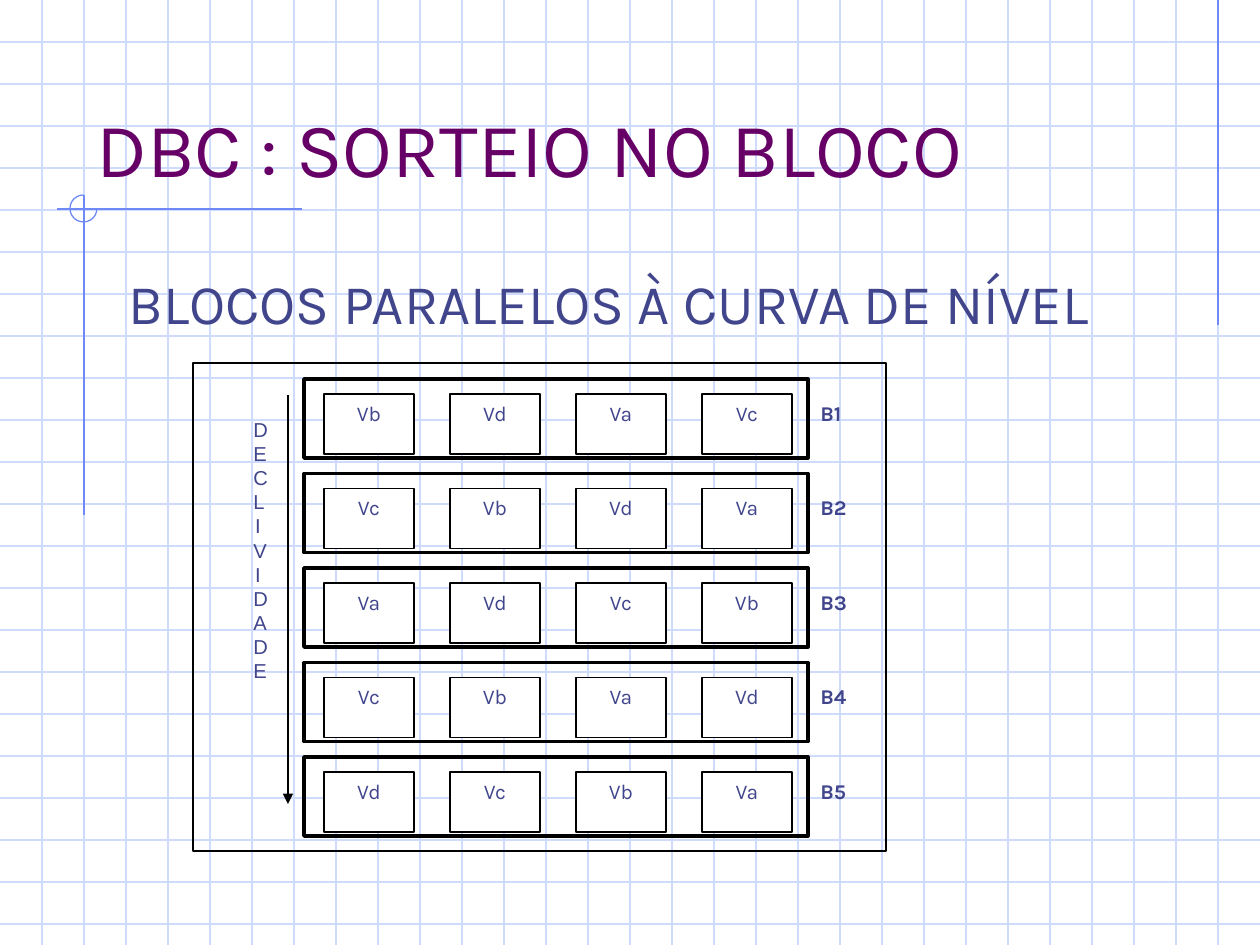
from lxml import etree
from pptx import Presentation
from pptx import util as u
from pptx.dml.color import RGBColor
from pptx.enum import shapes, text
from pptx.oxml.ns import qn

PX = 914400 / 126
W, H, GRID = 1260, 945, 42
PALE = RGBColor(0xCF, 0xDB, 0xFD)
BLUE = RGBColor(0x6F, 0x89, 0xF7)
INK = RGBColor(0x40, 0x45, 0x8C)
PURPLE = RGBColor(0x66, 0x00, 0x66)
BLACK = RGBColor(0x00, 0x00, 0x00)
WHITE = RGBColor(0xFF, 0xFF, 0xFF)
LEFT, CENTER, RIGHT = text.PP_ALIGN.LEFT, text.PP_ALIGN.CENTER, text.PP_ALIGN.RIGHT
BLOCKS = [
    ("B1", ["Vb", "Vd", "Va", "Vc"]),
    ("B2", ["Vc", "Vb", "Vd", "Va"]),
    ("B3", ["Va", "Vd", "Vc", "Vb"]),
    ("B4", ["Vc", "Vb", "Va", "Vd"]),
    ("B5", ["Vd", "Vc", "Vb", "Va"]),
]


def px(*values):
    return [u.Emu(round(v * PX)) for v in values]


def put_text(sp, content, size=12, font="Karla", color=INK, bold=False,
             align=LEFT, anchor=text.MSO_ANCHOR.TOP):
    tf = sp.text_frame
    tf.word_wrap = True
    tf.vertical_anchor = anchor
    p = tf.paragraphs[0]
    p.alignment = align
    r = p.add_run()
    r.text = content
    r.font.size = u.Pt(size)
    r.font.name = font
    r.font.bold = bold
    r.font.color.rgb = color


def text_box(s, x, y, w, h, content, **fmt):
    put_text(s.shapes.add_textbox(*px(x, y, w, h)), content, **fmt)


def outline(s, x, y, w, h, fill=None, color=BLACK, width=0.75,
            kind=shapes.MSO_SHAPE.RECTANGLE):
    sp = s.shapes.add_shape(kind, *px(x, y, w, h))
    sp.shadow.inherit = False
    if fill is None:
        sp.fill.background()
    else:
        sp.fill.solid()
        sp.fill.fore_color.rgb = fill
    sp.line.color.rgb = color
    sp.line.width = u.Pt(width)
    return sp


def line(s, x1, y1, x2, y2, color, arrow=False):
    c = s.shapes.add_connector(shapes.MSO_CONNECTOR.STRAIGHT, *px(x1, y1, x2, y2))
    c.line.color.rgb = color
    c.line.width = u.Pt(0.75)
    if arrow:
        etree.SubElement(c.line._get_or_add_ln(), qn("a:tailEnd"), type="triangle")
    etree.SubElement(c._element.spPr, qn("a:effectLst"))


def background(s, w, h):
    for y in range(GRID, h, GRID):
        line(s, 0, y, w, y, PALE)
    for x in range(GRID, w, GRID):
        line(s, x, 0, x, h, PALE)
    line(s, w - GRID, 0, w - GRID, 325, BLUE)


def corner_mark(s, x, y):
    line(s, x + 218, y, x - 27, y, BLUE)
    line(s, x, y - 14, x, y + 306, BLUE)
    arc = outline(s, x - 14, y - 14, 27, 27, color=BLUE, kind=shapes.MSO_SHAPE.ARC)
    arc.adjustments[0] = 0
    arc.adjustments[1] = 162


def block(s, x, y, w, h, name, plots):
    for i, plot in enumerate(plots):
        sp = outline(s, x + 20 + i * w / len(plots), y + 15, 90, 60, fill=WHITE)
        put_text(sp, plot, align=CENTER)
    outline(s, x, y, w, h, width=2)
    text_box(s, x + w, y + 15, 63, 46, name, bold=True)


def field(s, x, y, w, h):
    outline(s, x, y, w, h)
    line(s, x + 95, y + 32, x + 95, y + 441, BLACK, arrow=True)
    text_box(s, x + 48, y + 48, 32, 393, "DECLIVIDADE", size=11.5, font="Arial", align=RIGHT)
    for i, (name, plots) in enumerate(BLOCKS):
        block(s, x + 111, y + 16 + 94.5 * i, 504, 79, name, plots)


def main():
    prs = Presentation()
    prs.slide_width, prs.slide_height = px(W, H)
    s = prs.slides.add_slide(prs.slide_layouts[6])
    background(s, W, H)
    corner_mark(s, 84, 209)
    text_box(s, 84, 42, 1071, 157, "DBC : SORTEIO NO BLOCO",
             size=44, color=PURPLE, anchor=text.MSO_ANCHOR.BOTTOM)
    text_box(s, 116, 262, 1071, 567, "BLOCOS PARALELOS À CURVA DE NÍVEL", size=32)
    field(s, 193, 363, 693, 488)
    prs.save("out.pptx")


if __name__ == "__main__":
    main()
